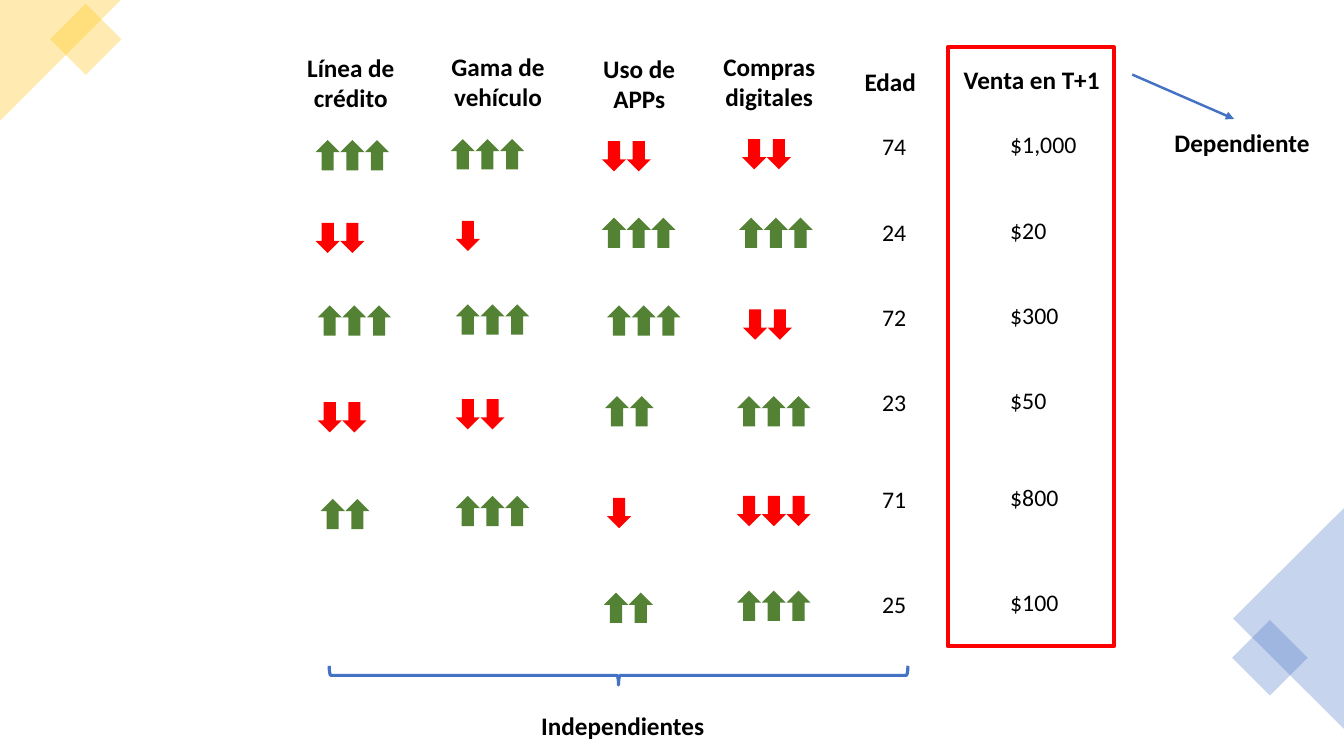
from lxml.etree import SubElement
from pptx import Presentation
from pptx.dml.color import RGBColor
from pptx.enum.shapes import MSO_CONNECTOR, MSO_SHAPE
from pptx.enum.text import PP_ALIGN
from pptx.oxml.ns import qn
from pptx.util import Inches, Pt

GREEN, RED, BLUE, GOLD, BLACK = "548235", "FF0000", "4472C4", "FFC000", "000000"
ARROW_WIDTH, ARROW_HEIGHT, ARROW_STEP = 0.24, 0.3, 0.245

HEADINGS = [
    ("Línea de crédito", 2.78, 0.47, 1.4),
    ("Gama de vehículo", 4.24, 0.46, 1.4),
    ("Uso de APPs", 5.72, 0.48, 1.24),
    ("Compras digitales", 6.93, 0.46, 1.4),
    ("Edad", 8.13, 0.61, 1.4),
]
# One list per variable: left, top, number of arrows (negative means falling)
TRENDS = [
    [(3.13, 1.39, 3), (3.13, 2.21, -2), (3.15, 3.03, 3), (3.15, 3.99, -2), (3.18, 4.95, 2)],
    [(4.47, 1.38, 3), (4.52, 2.19, -1), (4.52, 3.02, 3), (4.52, 3.96, -2), (4.52, 4.92, 3)],
    [(5.97, 1.4, -2), (5.97, 2.16, 3), (6.02, 3.03, 3), (6, 3.93, 2), (6.02, 4.94, -1),
     (5.99, 5.88, 2)],
    [(7.36, 1.38, -2), (7.33, 2.16, 3), (7.37, 3.07, -2), (7.31, 3.93, 3), (7.31, 4.92, -3),
     (7.31, 5.86, 3)],
]
AGES = ["74", "24", "72", "23", "71", "25"]
SALES = ["$1,000", "$20", "$300", "$50", "$800", "$100"]
ROW_GAPS = [0, 40.5, 40.5, 40.5, 48.5, 55]


def color(code):
    return RGBColor.from_string(code)


class SlideBuilder:
    def __init__(self, slide, font="Calibri"):
        self.shapes = slide.shapes
        self.font = font

    def shape(self, kind, left, top, width, height, fill=None, alpha=None,
              line=None, weight=1, rotation=0, adjust=None):
        item = self.shapes.add_shape(kind, Inches(left), Inches(top), Inches(width), Inches(height))
        item.shadow.inherit = False
        item.rotation = rotation
        if adjust is not None:
            item.adjustments[0] = adjust
        if fill:
            item.fill.solid()
            item.fill.fore_color.rgb = color(fill)
            if alpha:
                tint = item.fill._xPr.find(qn("a:solidFill"))[0]
                SubElement(tint, qn("a:alpha")).set("val", str(alpha * 1000))
        else:
            item.fill.background()
        if line:
            item.line.color.rgb = color(line)
            item.line.width = Pt(weight)
        else:
            item.line.fill.background()

    def text(self, lines, left, top, width, height, size=18, bold=True,
             align=PP_ALIGN.LEFT, gaps=(0,)):
        frame = self.shapes.add_textbox(
            Inches(left), Inches(top), Inches(width), Inches(height)).text_frame
        frame.word_wrap = True
        for index, (line, gap) in enumerate(zip(lines, gaps)):
            paragraph = frame.add_paragraph() if index else frame.paragraphs[0]
            paragraph.alignment = align
            if gap:
                paragraph.space_before = Pt(gap)
            run = paragraph.add_run()
            run.text = line
            run.font.name = self.font
            run.font.size = Pt(size)
            run.font.bold = bold
            run.font.color.rgb = color(BLACK)

    def trend(self, left, top, count):
        """Draw a row of rising green or falling red arrows."""
        rising = count > 0
        for index in range(abs(count)):
            self.shape(MSO_SHAPE.UP_ARROW, left + index * ARROW_STEP, top, ARROW_WIDTH,
                       ARROW_HEIGHT, fill=GREEN if rising else RED, rotation=0 if rising else 180)

    def pointer(self, x1, y1, x2, y2):
        """Draw a thin line with an arrowhead at its end."""
        line = self.shapes.add_connector(
            MSO_CONNECTOR.STRAIGHT, Inches(x1), Inches(y1), Inches(x2), Inches(y2))
        line.line.color.rgb = color(BLUE)
        line.line.width = Pt(1.75)
        SubElement(line.line._get_or_add_ln(), qn("a:tailEnd")).set("type", "triangle")
        SubElement(line._element.spPr, qn("a:effectLst"))


def main():
    deck = Presentation()
    deck.slide_width, deck.slide_height = Inches(13.33), Inches(7.5)
    page = SlideBuilder(deck.slides.add_slide(deck.slide_layouts[6]))

    # Corner decoration
    triangle, square = MSO_SHAPE.ISOSCELES_TRIANGLE, MSO_SHAPE.RECTANGLE
    page.shape(triangle, 0, 0, 1.2, 1.2, GOLD, 30, rotation=90, adjust=0)
    page.shape(square, 0.6, 0.14, 0.5, 0.5, GOLD, 30, rotation=45)
    page.shape(triangle, 11.68, 5.58, 2.21, 1.11, BLUE, 30, rotation=270)
    page.shape(square, 12.33, 6.26, 0.53, 0.53, BLUE, 30, rotation=45)

    # Independent variables
    for heading, left, top, width in HEADINGS:
        height = 0.71 if " " in heading else 0.4
        page.text([heading], left, top, width, height, align=PP_ALIGN.CENTER)
    for variable in TRENDS:
        for left, top, count in variable:
            page.trend(left, top, count)
    page.text(AGES, 8.65, 1.26, 0.98, 5.28, size=17, bold=False, gaps=ROW_GAPS)
    page.shape(MSO_SHAPE.LEFT_BRACE, 6.04, 3.83, 0.19, 5.74, line=BLUE, weight=2.25, rotation=270)
    page.text(["Independientes"], 5.27, 7, 3.04, 0.4)

    # Dependent variable
    page.text(["Venta en T+1"], 9.46, 0.59, 1.72, 0.4)
    page.text(SALES, 9.92, 1.24, 0.98, 5.28, size=17, bold=False, gaps=ROW_GAPS)
    page.shape(square, 9.4, 0.47, 1.65, 5.94, line=RED, weight=3)
    page.pointer(11.23, 0.74, 12.24, 1.18)
    page.text(["Dependiente"], 11.55, 1.21, 1.75, 0.4)

    deck.save("out.pptx")


if __name__ == "__main__":
    main()
